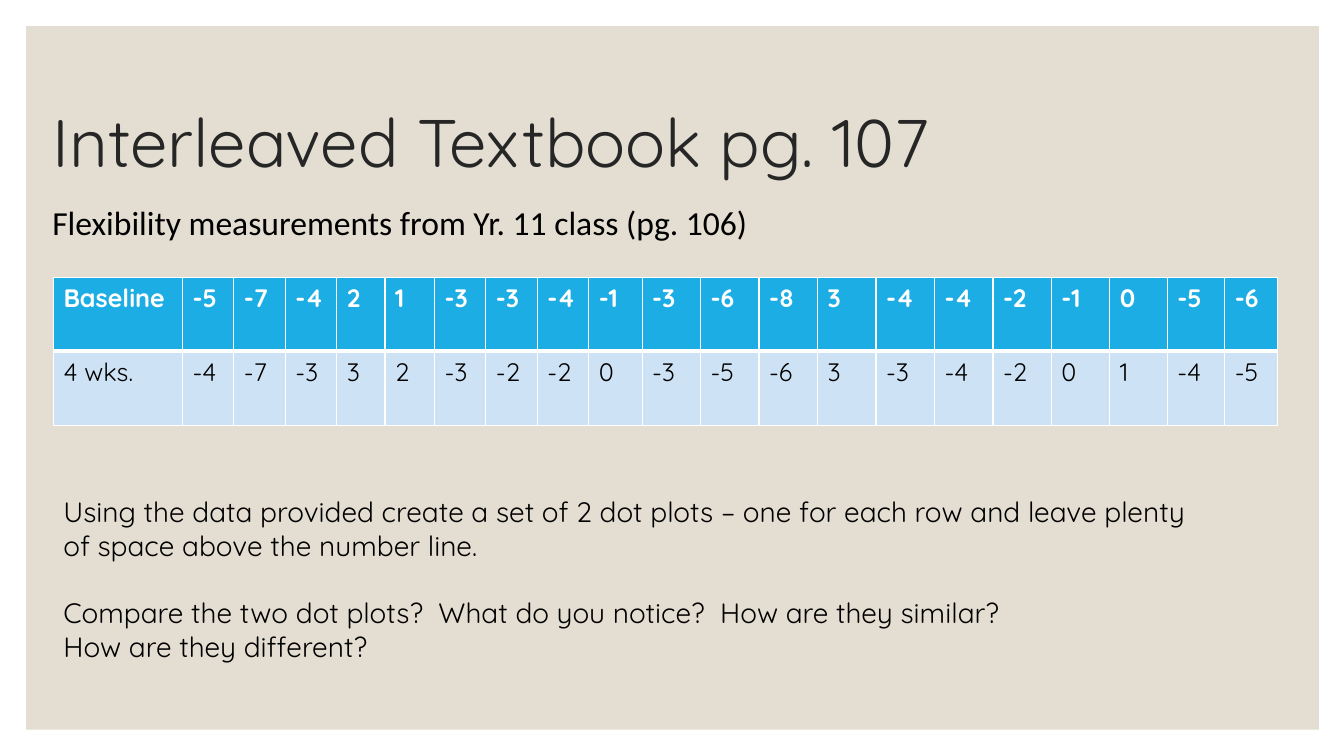
from dataclasses import dataclass
from typing import NamedTuple

from lxml.etree import SubElement
from pptx import Presentation
from pptx.dml.color import RGBColor
from pptx.enum.shapes import MSO_SHAPE
from pptx.enum.text import MSO_ANCHOR, MSO_AUTO_SIZE, PP_ALIGN
from pptx.oxml.ns import qn
from pptx.slide import Slide
from pptx.table import _Cell
from pptx.text.text import _Paragraph
from pptx.util import Inches, Pt


class Face(NamedTuple):
    font: str
    size: int
    color: str
    bold: bool = False


@dataclass(frozen=True)
class Theme:
    panel: str = "E3DED1"
    border: str = "FFFFFF"
    title: Face = Face("Quicksand", 48, "262626")
    lead: Face = Face("Calibri", 24, "000000")
    task: Face = Face("Quicksand", 20, "000000")
    head: Face = Face("Quicksand", 18, "FFFFFF", True)
    data: Face = Face("Quicksand", 18, "000000")
    gap: int = 24


class Box(NamedTuple):
    left: float
    top: float
    width: float
    height: float

    def place(self) -> list[int]:
        return [Inches(value) for value in self]


@dataclass(frozen=True)
class Note:
    box: Box
    groups: list[list[str]]
    face: Face
    wrap: bool


@dataclass(frozen=True)
class Row:
    label: str
    scores: list[int]
    face: Face
    fill: str
    top: int
    bottom: int


THEME = Theme()
PANEL = Box(0.26, 0.26, 12.82, 6.98)
TITLE = Box(0.42, 0.7, 11.11, 1.5)
GRID = Box(0.53, 2.75, 12.21, 1.47)
WIDTHS = ([1.28] + [0.51] * 3 + [0.48, 0.49] + [0.51] * 3 + [0.53]
          + [0.58] * 8 + [0.57] * 2 + [0.52])

ROWS = [
    Row("Baseline",
        [-5, -7, -4, 2, 1, -3, -3, -4, -1, -3, -6, -8, 3, -4, -4, -2, -1, 0, -5, -6],
        THEME.head, "1CADE4", 1, 3),
    Row("4 wks.",
        [-4, -7, -3, 3, 2, -3, -2, -2, 0, -3, -5, -6, 3, -3, -4, -2, 0, 1, -4, -5],
        THEME.data, "CDE3F5", 3, 1),
]

NOTES = [
    Note(Box(0.42, 1.95, 9.49, 0.5),
         [["Flexibility measurements from Yr. 11 class (pg. 106)"]],
         THEME.lead, True),
    Note(Box(0.53, 4.86, 12.12, 1.78),
         [["Using the data provided create a set of 2 dot plots – one for each row and leave plenty",
           "of space above the number line."],
          ["Compare the two dot plots?  What do you notice?  How are they similar?",
           "How are they different?"]],
         THEME.task, False),
]


def style(para: _Paragraph, face: Face) -> None:
    para.alignment = PP_ALIGN.LEFT
    font = para.font
    font.name, font.size, font.bold = face.font, Pt(face.size), face.bold
    font.color.rgb = RGBColor.from_string(face.color)


def add_panel(slide: Slide) -> None:
    panel = slide.shapes.add_shape(MSO_SHAPE.RECTANGLE, *PANEL.place())
    panel.shadow.inherit = False
    panel.fill.solid()
    panel.fill.fore_color.rgb = RGBColor.from_string(THEME.panel)
    panel.line.fill.background()
    slide.shapes.title.element.addprevious(panel.element)


def add_title(slide: Slide, text: str) -> None:
    title = slide.shapes.title
    title.left, title.top, title.width, title.height = TITLE.place()
    frame = title.text_frame
    frame.text = text
    frame.vertical_anchor = MSO_ANCHOR.MIDDLE
    frame.auto_size = MSO_AUTO_SIZE.NONE
    para = frame.paragraphs[0]
    para.line_spacing = 0.9
    style(para, THEME.title)


def add_note(slide: Slide, note: Note) -> None:
    frame = slide.shapes.add_textbox(*note.box.place()).text_frame
    frame.word_wrap = note.wrap
    frame.auto_size = MSO_AUTO_SIZE.SHAPE_TO_FIT_TEXT
    for i, group in enumerate(note.groups):
        for j, line in enumerate(group):
            first = i == j == 0
            para = frame.paragraphs[0] if first else frame.add_paragraph()
            para.text = line
            if i and not j:
                para.space_before = Pt(THEME.gap)
            style(para, note.face)


def add_edges(cell: _Cell, row: Row) -> None:
    props = cell._tc.get_or_add_tcPr()
    edges = {"a:lnL": 1, "a:lnR": 1, "a:lnT": row.top, "a:lnB": row.bottom}
    for tag, width in edges.items():
        line = SubElement(props, qn(tag), w=str(Pt(width)))
        fill = SubElement(line, qn("a:solidFill"))
        SubElement(fill, qn("a:srgbClr"), val=THEME.border)


def add_grid(slide: Slide) -> None:
    shape = slide.shapes.add_table(len(ROWS), len(WIDTHS), *GRID.place())
    table = shape.table
    table.horz_banding = False
    for col, width in zip(table.columns, WIDTHS):
        col.width = Inches(width)
    shape.width = Inches(GRID.width)
    for line, row in zip(table.rows, ROWS):
        for cell, value in zip(line.cells, [row.label, *row.scores]):
            cell.text = str(value)
            style(cell.text_frame.paragraphs[0], row.face)
            add_edges(cell, row)
            cell.fill.solid()
            cell.fill.fore_color.rgb = RGBColor.from_string(row.fill)


def main() -> None:
    deck = Presentation()
    deck.slide_width, deck.slide_height = Inches(13.33), Inches(7.5)
    slide = deck.slides.add_slide(deck.slide_layouts.get_by_name("Title Only"))
    add_panel(slide)
    add_title(slide, "Interleaved Textbook pg. 107")
    add_grid(slide)
    for note in NOTES:
        add_note(slide, note)
    deck.save("out.pptx")


if __name__ == "__main__":
    main()
